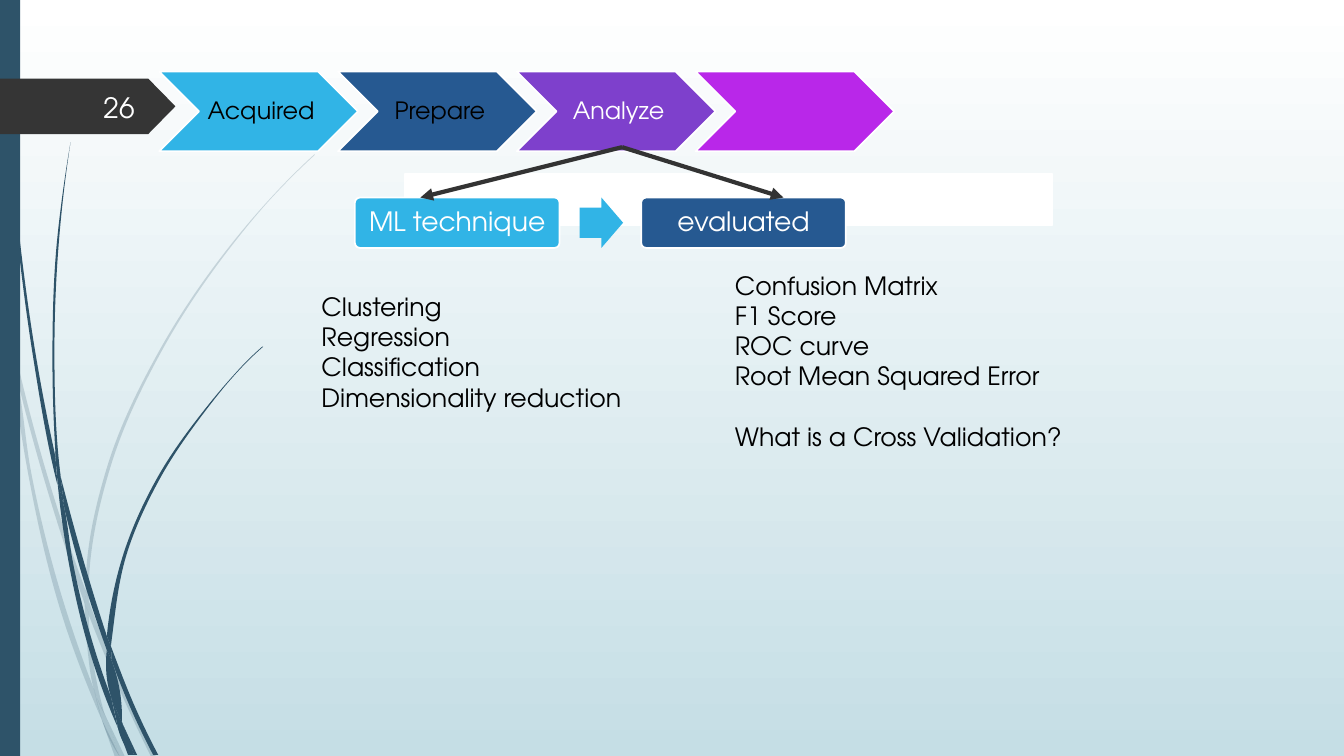
from dataclasses import dataclass

from lxml import etree
from pptx import Presentation
from pptx.dml.color import RGBColor
from pptx.enum.shapes import MSO_CONNECTOR, MSO_SHAPE
from pptx.enum.text import MSO_ANCHOR, PP_ALIGN
from pptx.oxml.ns import qn
from pptx.util import Inches, Pt

RECT = MSO_SHAPE.RECTANGLE
ROUND = MSO_SHAPE.ROUNDED_RECTANGLE
CHEVRON = MSO_SHAPE.CHEVRON
ARROW = MSO_SHAPE.RIGHT_ARROW
TAG = MSO_SHAPE.PENTAGON
STRAIGHT = MSO_CONNECTOR.STRAIGHT
LEFT, MID, RIGHT = PP_ALIGN.LEFT, PP_ALIGN.CENTER, PP_ALIGN.RIGHT
TOP, MIDDLE = MSO_ANCHOR.TOP, MSO_ANCHOR.MIDDLE


@dataclass(frozen=True)
class Theme:
    font: str = "TeX Gyre Adventor"
    white: str = "FFFFFF"
    black: str = "000000"
    haze: str = "C5DEE5"
    slate: str = "2E5369"
    coal: str = "353535"
    ink: str = "333333"
    sky: str = "31B4E6"
    navy: str = "265991"
    violet: str = "7E40CC"
    pink: str = "B927E9"
    number: int = 20
    step: int = 17
    card: int = 19
    body: int = 18


T = Theme()
rgb = RGBColor.from_string

deck = Presentation()
deck.slide_width, deck.slide_height = Inches(13.33), Inches(7.5)
slide = deck.slides.add_slide(deck.slide_layouts[6])
shapes = slide.shapes


def add(kind, box, fill, line=None, adj=()):
    """Add a preset shape with a flat fill and an optional outline."""
    shape = shapes.add_shape(kind, *map(Inches, box))
    shape.shadow.inherit = False
    shape.fill.solid()
    shape.fill.fore_color.rgb = rgb(fill)
    if line:
        shape.line.color.rgb = rgb(line)
        shape.line.width = Pt(1.25)
    else:
        shape.line.fill.background()
    for i, ratio in enumerate(adj):
        shape.adjustments[i] = ratio
    return shape


def write(shape, text, size, color, align=MID, anchor=MIDDLE,
          pad=(0.1, 0.05, 0.1, 0.05), pitch=None):
    """Fill a shape with text, one paragraph a line."""
    frame = shape.text_frame
    frame.word_wrap = True
    frame.vertical_anchor = anchor
    (frame.margin_left, frame.margin_top,
     frame.margin_right, frame.margin_bottom) = map(Inches, pad)
    frame.text = text
    for para in frame.paragraphs:
        para.alignment = align
        para.line_spacing = pitch
        para.font.name = T.font
        para.font.size = Pt(size)
        para.font.color.rgb = rgb(color)
    return frame


# Background
back = slide.background.fill
back.gradient()
back.gradient_angle = 270
for stop, place, color in zip(back.gradient_stops, (0, 1), (T.white, T.haze)):
    stop.position = place
    stop.color.rgb = rgb(color)

# Grass blades, each piece with two curved edges: pale ones, then dark ones
pale = [
    ([(0.11, 3.5), (0.09, 3.22), (0, 2.82)], [(0, 2.99), (0.1, 3.44)]),
    ([(0.84, 5.99), (0.58, 5.22), (0.17, 3.76)],
     [(0.14, 3.45), (0.62, 5.2), (0.85, 5.86)]),
    ([(0.88, 5.96), (0.92, 6.07), (1.27, 6.92), (1.55, 7.51)],
     [(1.5, 7.51), (1.23, 6.94), (0.88, 6.1)]),
    ([(1.19, 7.51), (1.24, 7.51)], [(1.05, 7.11)]),
    ([(0.11, 3.5), (0.28, 4.7), (0.65, 6.21), (0.92, 6.93), (1.01, 7.14)],
     [(0.93, 6.83), (0.7, 6.19), (0.31, 4.69), (0.17, 3.76), (0.11, 3.5)]),
    ([(0.84, 5.99), (0.87, 6.46), (0.93, 6.83), (1.05, 7.11)],
     [(1.03, 7.06), (0.91, 6.46), (0.88, 6.1), (0.88, 6.08)]),
    ([(0.88, 5.96), (0.88, 5.84), (1.1, 4.62), (1.6, 3.49), (2.29, 2.45),
      (2.68, 1.98), (2.9, 1.75), (3.12, 1.54)],
     [(3.12, 1.53), (2.89, 1.75), (2.68, 1.97), (2.28, 2.44), (1.58, 3.48),
      (1.07, 4.61), (0.85, 5.84), (0.85, 5.86)]),
    ([(1.01, 7.14), (1.14, 7.51)], [(1.19, 7.51)]),
    ([(0.88, 6.08), (0.88, 6.1), (0.88, 5.96)], [(0.85, 5.86), (0.84, 5.99)]),
    ([(0.93, 6.83), (0.99, 7.07), (1.01, 7.14), (1.19, 7.51)],
     [(1.05, 7.11), (0.96, 6.92)]),
]
dark = [
    ([(0.04, 0), (0.05, 0.48), (0.08, 1.09), (0.19, 2.32), (0.36, 3.55),
      (0.55, 4.53)],
     [(0.57, 4.81), (0.56, 4.77), (0.33, 3.55), (0.17, 2.33), (0.07, 1.1),
      (0.04, 0.48), (0.03, 0)]),
    ([(1.06, 6.45), (0.88, 5.92), (0.64, 5.05)],
     [(0.6, 4.72), (0.93, 5.9), (1.06, 6.31)]),
    ([(1.1, 6.41), (1.13, 6.49), (1.36, 7.06), (1.57, 7.49)],
     [(1.52, 7.49), (1.32, 7.08), (1.11, 6.56)]),
    ([(0.57, 4.77), (0.68, 5.57), (0.93, 6.59), (1.11, 7.08), (1.17, 7.22)],
     [(1.1, 6.91), (0.98, 6.57), (0.72, 5.56), (0.64, 5.05), (0.57, 4.77)]),
    ([(0.7, 1.41), (0.63, 1.93), (0.58, 2.45), (0.54, 3.49), (0.58, 4.53),
      (0.6, 4.72)],
     [(0.55, 4.49), (0.52, 3.49), (0.56, 2.45), (0.62, 1.93), (0.7, 1.41)]),
    ([(1.33, 7.49), (1.36, 7.49)], [(1.22, 7.19)]),
    ([(0.57, 4.77), (0.64, 5.05)], [(0.6, 4.72), (0.55, 4.49), (0.55, 4.53)]),
    ([(1.1, 6.41), (1.11, 6.33), (1.25, 5.52), (1.58, 4.76), (2.05, 4.06),
      (2.31, 3.74), (2.45, 3.59), (2.61, 3.44)],
     [(2.6, 3.44), (2.45, 3.58), (2.31, 3.73), (2.04, 4.05), (1.56, 4.74),
      (1.22, 5.51), (1.06, 6.31)]),
    ([(1.17, 7.22), (1.27, 7.49)], [(1.31, 7.49)]),
    ([(1.06, 6.45), (1.1, 6.91), (1.16, 7.06), (1.22, 7.19)],
     [(1.21, 7.16), (1.11, 6.56), (1.09, 6.51)]),
    ([(1.06, 6.45), (1.09, 6.51), (1.11, 6.56)], [(1.1, 6.41), (1.06, 6.31)]),
    ([(1.1, 6.91), (1.16, 7.17), (1.17, 7.22), (1.3, 7.49)],
     [(1.33, 7.49), (1.22, 7.19), (1.16, 7.06)]),
]
for i, (down, up) in enumerate(pale + dark):
    dots = [tuple(map(Inches, dot)) for dot in down + up]
    pen = shapes.build_freeform(*dots[0])
    pen.add_line_segments(dots[1:], close=True)
    blade = pen.convert_to_shape()
    blade.shadow.inherit = False
    blade.fill.solid()
    blade.fill.fore_color.rgb = rgb(T.slate)
    blade.line.fill.background()
    if i < len(pale):
        tint = blade._element.spPr.find(qn("a:solidFill"))[0]
        etree.SubElement(tint, qn("a:alpha"), val="20000")

    # Bend each edge: slopes come from parabolas through neighbouring dots
    nodes = list(blade._element.iter(qn("a:pt")))
    spots = [complex(int(n.get("x")), int(n.get("y"))) for n in nodes]
    for a, b in ((0, len(down)), (len(down), len(dots))):
        edge = spots[a:b]
        if len(edge) < 3:
            continue
        gaps = [abs(q - p) for p, q in zip(edge, edge[1:])]
        rates = [(q - p) / g for p, q, g in zip(edge, edge[1:], gaps)]
        inner = [(r * h + s * g) / (g + h) for r, s, g, h
                 in zip(rates, rates[1:], gaps, gaps[1:])]
        slopes = [2 * rates[0] - inner[0], *inner, 2 * rates[-1] - inner[-1]]
        for j, g in enumerate(gaps):
            line = nodes[a + j + 1].getparent()
            line.tag = qn("a:cubicBezTo")
            for k, spot in enumerate((edge[j] + g * slopes[j] / 3,
                                      edge[j + 1] - g * slopes[j + 1] / 3)):
                line.insert(k, etree.Element(qn("a:pt"), x=str(round(spot.real)),
                                             y=str(round(spot.imag))))

# Side band and page number
add(RECT, (0, 0, 0.2, 7.5), T.slate)
tag = add(TAG, (0, 0.78, 1.74, 0.55), T.coal, adj=[0.49])
write(tag, "26", T.number, T.white, align=RIGHT, pad=(0.1, 0.06, 0.27, 0.04))

# Process chevrons
wide = 1.97
steps = [("Acquired", T.sky, T.black), ("Prepare", T.navy, T.black),
         ("Analyze", T.violet, T.white), ("", T.pink, T.white)]
for i, (name, fill, color) in enumerate(steps):
    step = add(CHEVRON, (1.58 + 0.9 * wide * i, 0.71, wide, 0.79), fill, T.white)
    if name:
        write(step, name, T.step, color, pad=(0.07, 0.02, 0.02, 0.02), pitch=0.9)

# White strip, then the two cards with an arrow between
add(RECT, (4.02, 1.73, 6.42, 0.5), T.white, T.white)
for name, x, fill in (("ML technique", 3.52, T.sky), ("evaluated", 6.36, T.navy)):
    card = add(ROUND, (x, 1.96, 2.03, 0.5), fill, T.white, adj=[0.1])
    write(card, name, T.card, T.white, pad=[0.08] * 4, pitch=0.9)
add(ARROW, (5.75, 1.96, 0.43, 0.5), T.sky, adj=(0.6, 0.5))

# Arrows from Analyze to the cards
for x in (4.17, 7.77):
    link = shapes.add_connector(STRAIGHT, *map(Inches, (6.17, 1.46, x, 1.96)))
    link.line.color.rgb = rgb(T.ink)
    link.line.width = Pt(3)
    etree.SubElement(link.line._get_or_add_ln(), qn("a:tailEnd"), type="triangle")
    etree.SubElement(link._element.spPr, qn("a:effectLst"))

# Lists below the cards
lists = [
    ((3.09, 2.84, 3.42, 1.62),
     "Clustering\nRegression\nClassification\nDimensionality reduction"),
    ((7.19, 2.63, 3.99, 2.22),
     "Confusion Matrix\nF1 Score\nROC curve\nRoot Mean Squared Error\n"
     "What is a Cross Validation?"),
]
for box, text in lists:
    area = shapes.add_textbox(*map(Inches, box))
    frame = write(area, text, T.body, T.black, align=LEFT, anchor=TOP)
frame.paragraphs[-1].space_before = Pt(21.6)

deck.save("out.pptx")
